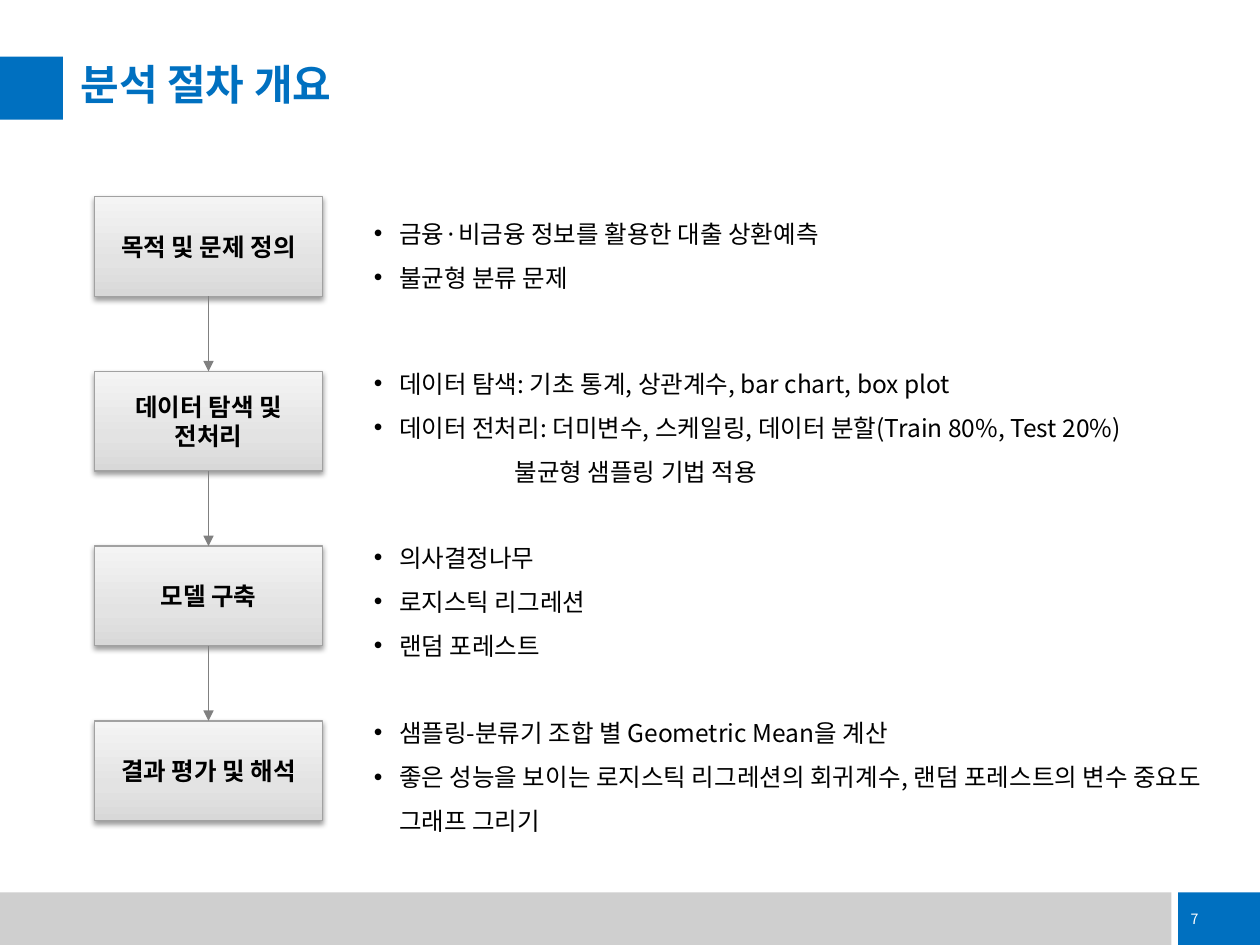
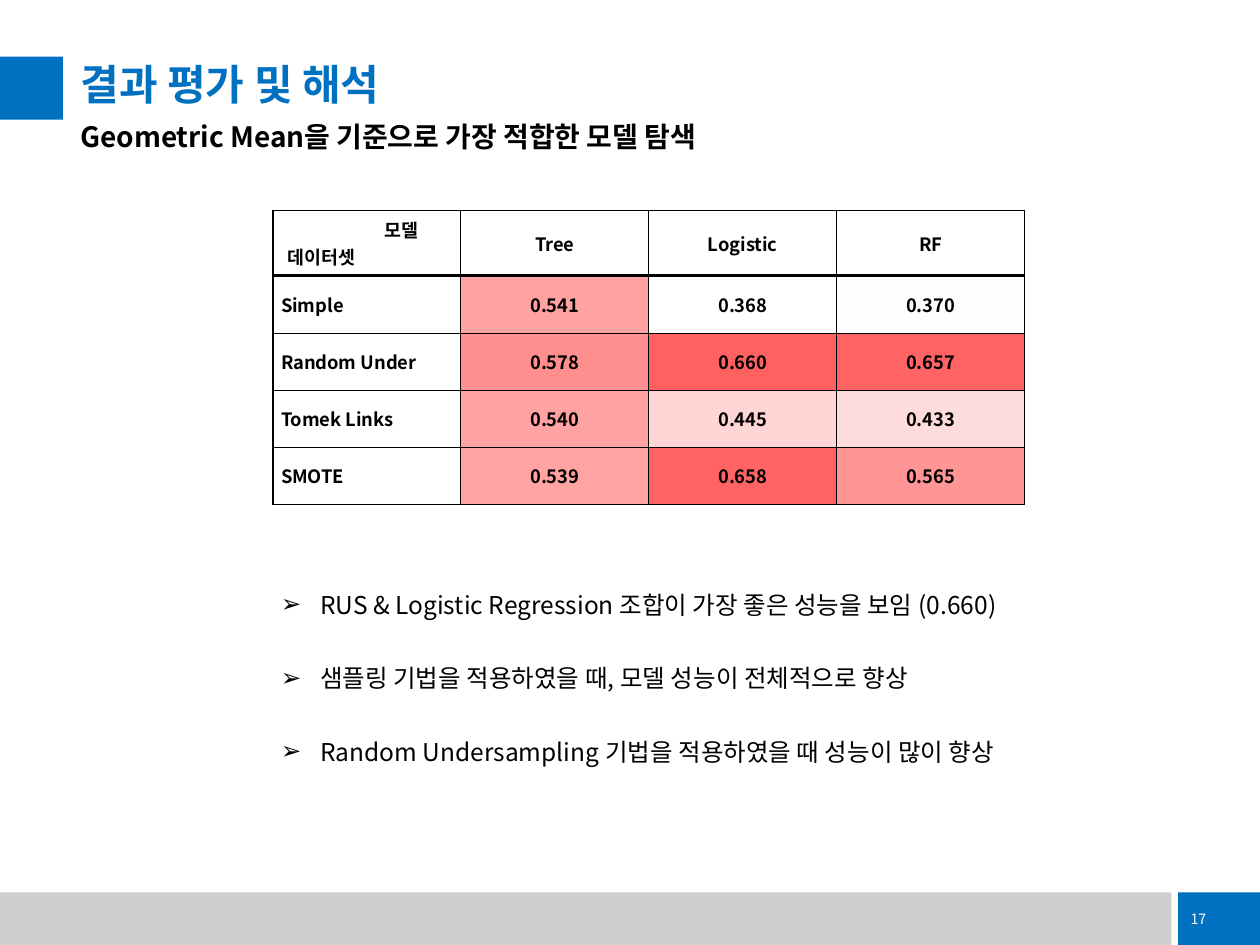
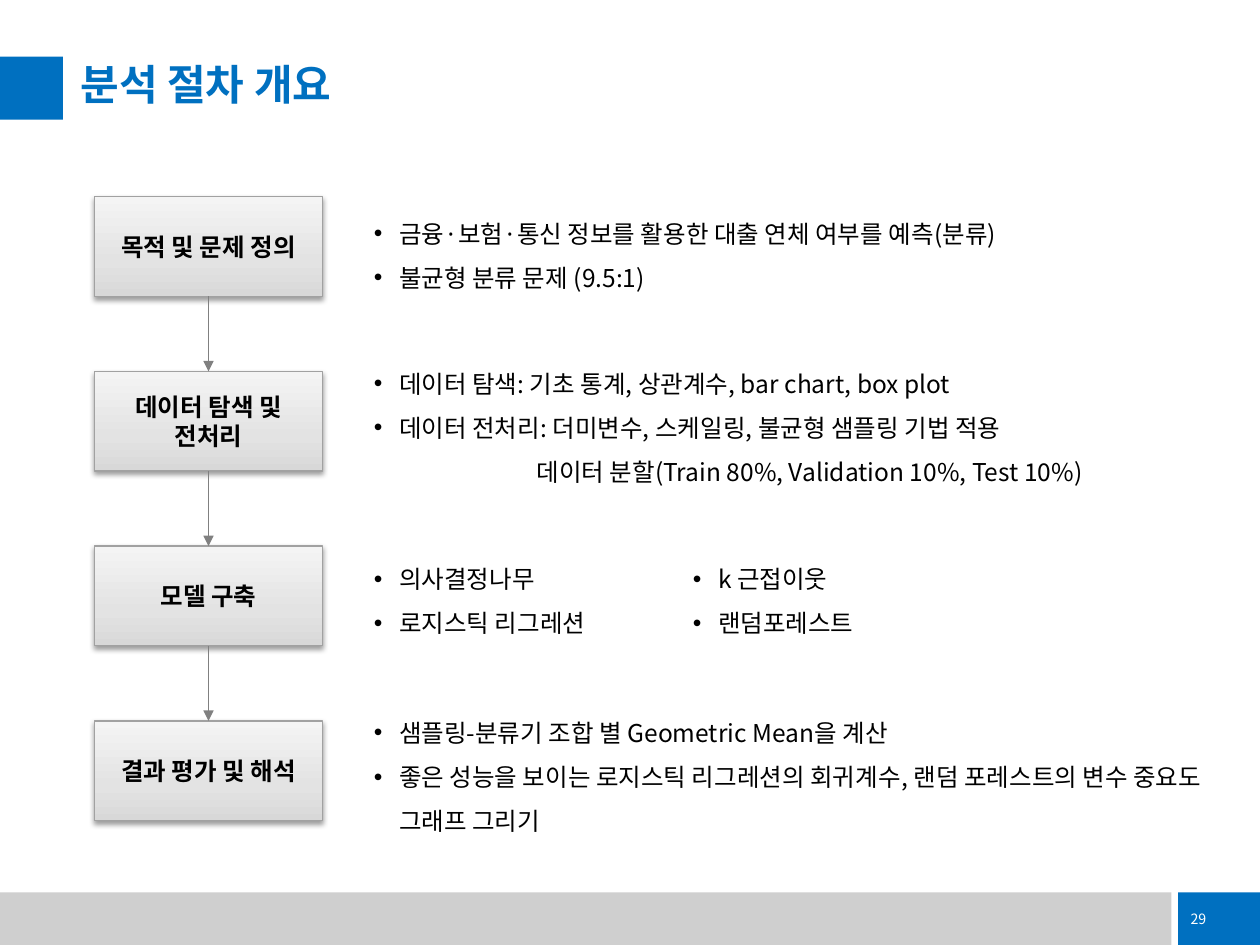
from copy import deepcopy
from dataclasses import dataclass
from typing import NamedTuple

from lxml import etree
from pptx import Presentation
from pptx.dml.color import RGBColor
from pptx.enum import shapes, text
from pptx.oxml import ns
from pptx.util import Pt

SANS = "Noto Sans CJK KR"
CABIN = "Cabin"
BLUE = "0070C0"
BLACK = "000000"
WHITE = "FFFFFF"
GRAY = "CFCFCF"
EDGE = "A1A1A1"
ARROW = "808080"
SHADES = ((0, "D8D8D8"), (0.35, "E3E3E3"), (1, "F4F4F4"))

STEP_X, STEP_Y, STEP_W, STEP_H, PITCH = 54, 112.4, 130.3, 57, 99.84
NOTE_X, NOTE_W, LINE_H = 206.6, 499, 25.2
STEPS = ("목적 및 문제 정의", "데이터 탐색 및 전처리", "모델 구축", "결과 평가 및 해석")


class Line(NamedTuple):
    text: str
    mark: str = ""
    left: float = 0


@dataclass
class Note:
    top: float
    lines: list[Line]
    rows: int
    left: float = NOTE_X
    width: float = NOTE_W


class Cell(NamedTuple):
    text: str
    fill: str


def hue(code: str) -> RGBColor:
    return RGBColor.from_string(code)


def node(parent, tag: str, **attrs):
    child = etree.SubElement(parent, ns.qn(tag))
    for key, value in attrs.items():
        child.set(key, str(value))
    return child


def write(frame, lines, *, size: float, font: str = SANS, color: str = BLACK,
          bold: bool = False, align=text.PP_ALIGN.LEFT, space: float = 1):
    for i, item in enumerate(lines):
        line = item if isinstance(item, Line) else Line(item)
        para = frame.paragraphs[0] if i == 0 else frame.add_paragraph()
        para.alignment = align
        para.line_spacing = space
        props = para._p.get_or_add_pPr()
        props.set("marL", str(Pt(line.left)))
        props.set("indent", str(-Pt(line.left) if line.mark else 0))
        if line.mark:
            node(props, "a:buFont", typeface="Arial")
            node(props, "a:buChar", char=line.mark)
        else:
            node(props, "a:buNone")
        run = para.add_run()
        run.text = line.text
        run.font.size = Pt(size)
        run.font.bold = bold
        run.font.color.rgb = hue(color)
        run.font.name = font
        node(run._r.get_or_add_rPr(), "a:ea", typeface=SANS)


def add_text(slide, box, lines, pad: bool = True, **style):
    shape = slide.shapes.add_textbox(*map(Pt, box))
    frame = shape.text_frame
    frame.word_wrap = True
    if not pad:
        frame.margin_left = frame.margin_right = 0
        frame.margin_top = frame.margin_bottom = 0
    write(frame, lines, **style)
    return shape


def add_rect(slide, box, fill: str):
    shape = slide.shapes.add_shape(shapes.MSO_SHAPE.RECTANGLE, *map(Pt, box))
    shape.shadow.inherit = False
    shape.fill.solid()
    shape.fill.fore_color.rgb = hue(fill)
    shape.line.fill.background()
    return shape


def add_page(deck, title: str, number: int):
    slide = deck.slides.add_slide(deck.slide_layouts[6])
    add_rect(slide, (0, 510, 669.4, 30), GRAY)
    badge = add_rect(slide, (673.2, 510, 46.8, 30), BLUE)
    badge.text_frame.word_wrap = False
    badge.text_frame.vertical_anchor = text.MSO_ANCHOR.MIDDLE
    write(badge.text_frame, [str(number)], size=8.1, color=WHITE)
    add_rect(slide, (0, 32.4, 36, 36), BLUE)
    add_text(slide, (46, 36.7, 649, 27.4), [title], pad=False, size=24,
             color=BLUE, bold=True, space=0.9)
    return slide


def add_step(slide, index: int, label: str):
    box = add_rect(slide, (STEP_X, STEP_Y + index * PITCH, STEP_W, STEP_H), GRAY)
    box.fill.gradient()
    box.fill.gradient_angle = 90
    stops = box._element.spPr.find(".//" + ns.qn("a:gsLst"))
    stops.append(deepcopy(stops[0]))
    for stop, (place, shade) in zip(box.fill.gradient_stops, SHADES):
        stop.position = place
        stop.color.rgb = hue(shade)
    box.line.color.rgb = hue(EDGE)
    box.line.width = Pt(0.75)
    glow = node(box._element.spPr.find(ns.qn("a:effectLst")), "a:outerShdw",
                blurRad=Pt(3.1), dist=Pt(1.6), dir=5400000, rotWithShape=0)
    node(node(glow, "a:srgbClr", val=BLACK), "a:alpha", val=38000)
    box.text_frame.word_wrap = True
    box.text_frame.vertical_anchor = text.MSO_ANCHOR.MIDDLE
    write(box.text_frame, [label], size=14, font=CABIN, bold=True,
          align=text.PP_ALIGN.CENTER)
    return box


def add_arrow(slide, start, end):
    arrow = slide.shapes.add_connector(shapes.MSO_CONNECTOR.STRAIGHT, 0, 0, 0, 0)
    arrow.begin_connect(start, 2)
    arrow.end_connect(end, 0)
    arrow.line.color.rgb = hue(ARROW)
    arrow.line.width = Pt(0.75)
    node(arrow.line._get_or_add_ln(), "a:tailEnd", type="triangle")
    node(arrow._element.spPr, "a:effectLst")


def add_note(slide, note: Note):
    box = (note.left, note.top, note.width, 7.2 + note.rows * LINE_H)
    shape = add_text(slide, box, note.lines, size=14, space=1.5)
    shape.text_frame.auto_size = text.MSO_AUTO_SIZE.SHAPE_TO_FIT_TEXT


def add_flow(deck, number: int, notes: list[Note]):
    slide = add_page(deck, "분석 절차 개요", number)
    boxes = [add_step(slide, i, label) for i, label in enumerate(STEPS)]
    for start, end in zip(boxes, boxes[1:]):
        add_arrow(slide, start, end)
    for note in notes:
        add_note(slide, note)


def add_edge(cell, side: str, width: float):
    line = node(cell._tc.get_or_add_tcPr(), "a:ln" + side, w=Pt(width))
    node(node(line, "a:solidFill"), "a:srgbClr", val=BLACK)


def add_grid(slide, heads: list[str], body: dict[str, list[Cell]]):
    count, wide = len(body) + 1, len(heads) + 1
    col, head, row = 107.4, 37.4, 32.7
    table = slide.shapes.add_table(
        count, wide, Pt(156), Pt(120.2), Pt(col * wide),
        Pt(head + row * len(body))).table
    table.first_row = table.horz_banding = False
    for part in table.columns:
        part.width = Pt(col)
    for r, part in enumerate(table.rows):
        part.height = Pt(row if r else head)
    corner = [Line("모델", left=64), Line("데이터셋", left=8.5)]
    rows = [[corner] + [[name] for name in heads]]
    fills = [[""] * wide]
    for name, cells in body.items():
        rows.append([[Line(name, left=4.6)]] + [[c.text] for c in cells])
        fills.append([""] + [c.fill for c in cells])
    across = {0: 1, 1: 2, count: 1}
    down = {0: 1, wide: 1}
    for r in range(count):
        for c in range(wide):
            cell = table.cell(r, c)
            cell.margin_left = cell.margin_right = 0
            cell.margin_top = cell.margin_bottom = 0
            cell.vertical_anchor = text.MSO_ANCHOR.MIDDLE
            add_edge(cell, "L", down.get(c, 0.5))
            add_edge(cell, "R", down.get(c + 1, 0.5))
            add_edge(cell, "T", across.get(r, 0.5))
            add_edge(cell, "B", across.get(r + 1, 0.5))
            if fills[r][c]:
                cell.fill.solid()
                cell.fill.fore_color.rgb = hue(fills[r][c])
            else:
                cell.fill.background()
            align = text.PP_ALIGN.CENTER if c else text.PP_ALIGN.LEFT
            write(cell.text_frame, rows[r][c], size=10.5, bold=True, align=align)


def dots(*items: str) -> list[Line]:
    return [Line(item, "•", 14.4) for item in items]


def main():
    deck = Presentation()
    deck.slide_width, deck.slide_height = Pt(720), Pt(540)

    explore = "데이터 탐색: 기초 통계, 상관계수, bar chart, box plot"
    review = Note(398.2, dots(
        "샘플링-분류기 조합 별 Geometric Mean을 계산",
        "좋은 성능을 보이는 로지스틱 리그레션의 회귀계수, "
        "랜덤 포레스트의 변수 중요도 그래프 그리기"), 3)

    add_flow(deck, 7, [
        Note(113, dots("금융·비금융 정보를 활용한 대출 상환예측",
                       "불균형 분류 문제"), 2),
        Note(198.7, dots(
            explore,
            "데이터 전처리: 더미변수, 스케일링, 데이터 분할(Train 80%, Test 20%)")
            + [Line("불균형 샘플링 기법 적용", left=80.4)], 3),
        Note(298.1, dots("의사결정나무", "로지스틱 리그레션", "랜덤 포레스트"), 3),
        review,
    ])

    slide = add_page(deck, "결과 평가 및 해석", 17)
    add_text(slide, (46, 68.4, 649, 23), ["Geometric Mean을 기준으로 가장 적합한 모델 탐색"],
             pad=False, size=16, bold=True)
    add_grid(slide, ["Tree", "Logistic", "RF"], {
        "Simple": [Cell("0.541", "FFA2A2"), Cell("0.368", WHITE),
                   Cell("0.370", "FFFEFE")],
        "Random Under": [Cell("0.578", "FF8E8E"), Cell("0.660", "FF6161"),
                         Cell("0.657", "FF6363")],
        "Tomek Links": [Cell("0.540", "FFA2A2"), Cell("0.445", "FFD6D6"),
                        Cell("0.433", "FFDCDC")],
        "SMOTE": [Cell("0.539", "FFA3A3"), Cell("0.658", "FF6363"),
                  Cell("0.565", "FF9595")],
    })
    claims = ("RUS & Logistic Regression 조합이 가장 좋은 성능을 보임 (0.660)",
              "샘플링 기법을 적용하였을 때, 모델 성능이 전체적으로 향상",
              "Random Undersampling 기법을 적용하였을 때 성능이 많이 향상")
    add_text(slide, (153.4, 308.2, 475.2, 134.6),
             [Line(claim, "➢", 22.5) for claim in claims], size=14, space=2.5)

    add_flow(deck, 29, [
        Note(113, dots("금융·보험·통신 정보를 활용한 대출 연체 여부를 예측(분류)",
                       "불균형 분류 문제 (9.5:1)"), 2),
        Note(198.7, dots(
            explore,
            "데이터 전처리: 더미변수, 스케일링, 불균형 샘플링 기법 적용")
            + [Line("데이터 분할(Train 80%, Validation 10%, Test 10%)", left=93)], 3),
        Note(310.3, dots("의사결정나무", "로지스틱 리그레션"), 2, width=173.5),
        Note(310.3, dots("k 근접이웃", "랜덤포레스트"), 2, left=388.8, width=173.5),
        review,
    ])
    deck.save("out.pptx")


main()
